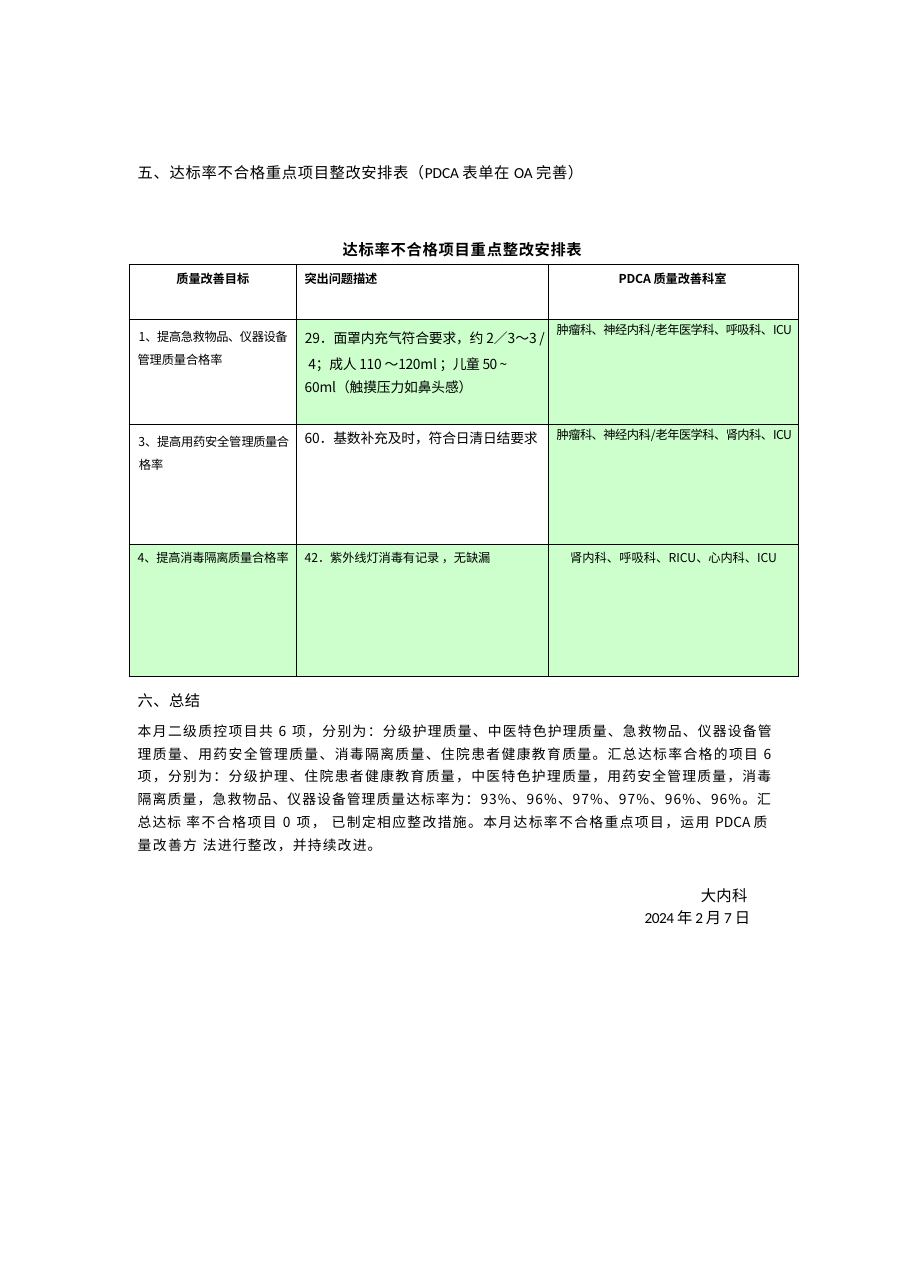
from dataclasses import dataclass

from lxml.etree import SubElement
from pptx import Presentation
from pptx.dml.color import RGBColor
from pptx.enum.text import MSO_ANCHOR, MSO_AUTO_SIZE, PP_ALIGN
from pptx.oxml import parse_xml
from pptx.oxml.ns import nsdecls, qn
from pptx.util import Pt

COLORS = {"ink": "000000", "highlight": "CCFFCC"}
CJK, LATIN = "Noto Sans CJK SC", "Calibri"


@dataclass
class Para:
    """Fragments are (text, letter spacing in points[, Latin font])."""
    fragments: list
    size: float = 8
    line: float = 11
    left: float = 5.6
    first: float = 0
    before: float = 0
    bold: bool = False


@dataclass
class Entry:
    paras: list
    top: float = 3
    highlight: bool = False


COLUMNS = [109.2, 164.8, 163.4]
ROWS = [36, 68.5, 78.5, 86.3]

PLAN = [
    # Column headings
    [Entry([Para([("质量改善目标", -0.1)], left=31, bold=True)], 4),
     Entry([Para([("突出问题描述", -0.1)], bold=True)], 4),
     Entry([Para([("PDCA 质量改善科", -0.1), ("室", -0.2)], left=46, bold=True)], 4)],
    # Emergency supplies
    [Entry([Para([("1、提高急救物品、仪器设备 ", -0.3), ("管理质量合格率", -0.1)],
                 line=15, first=0.7)], 2),
     Entry([Para([("29．面罩内充气符合要求，", -0.1),
                  ("约 2／3～3 / 4；成人 110 ～120m", -0.2), ("l ；儿童 50 ~", -0.3)],
                 size=9, line=17, left=8, first=-2.2),
            Para([("60ml（触摸压力如鼻头感）", -0.1)], size=9, line=15)], 1.4, True),
     Entry([Para([("肿瘤科、神经内科/老年医学科、呼吸科、ICU", -0.4)], line=10.4)], 2, True)],
    # Medication safety
    [Entry([Para([("3、提高用药安全管", -0.2), ("理质量合 ", -0.3), ("格率", -0.1)],
                 line=15, left=6.5, first=-0.3)], 2),
     Entry([Para([("60．基数补充及时，符合日清日结要求", -0.1)], size=9, line=12)]),
     Entry([Para([("肿瘤科、神经内科/老年医学科、肾内科、ICU", -0.4)], line=10.4)], 2, True)],
    # Disinfection and isolation
    [Entry([Para([("4、提高消毒隔离质量合格", -0.2), ("率", -0.3)])], 3, True),
     Entry([Para([("42．紫外线灯消毒有记录 ，无缺漏", -0.1)])], 3, True),
     Entry([Para([("肾内科、呼吸科、RI", 0), ("CU、心内科、ICU", -0.1)], left=14.4)], 3, True)],
]

HEADING = [Para([("五、达标率不合格重点项", 0.5), ("目整改安排表（", 0.4),
                 ("PDCA ", 0, LATIN), ("表单在 ", 0.4), ("OA ", 0, LATIN),
                 ("完善）", 0.4)], size=10, line=12, left=0.7)]

CAPTION = [Para([("达标率不合格项目重点整", 0.5), ("改安排表", 0.4)],
                size=10, line=12, left=0, bold=True)]

SUMMARY = [
    Para([("六、总结", 0.3)], size=10, line=12, left=0.7),
    Para([("本月二级质控项目共 6 项，分别为", 0.9),
          ("：分级护理质量、中医特色护理质量、急救物品、仪器设备管 ", 0.8),
          ("理质量、用药安全管理质量、消毒隔离质量、住院患者健康教育质量。"
           "汇总达标率合格的项目 6 项，分别为：分级护理、住院患者健康教育质量，"
           "中医特色护理质量", 0.9),
          ("，用药安全管理质量，消毒 隔离质量，急救物品", 0.8),
          ("、仪器设备管理质量达标率为：93%、96%、97%、97%、96%、96%。汇总达标 ", 0.7),
          ("率不合格项目 0 项， ", 1),
          ("已制定相应整改措施。本月达标率不合格重点项目，运用 ", 0.9),
          ("PDCA ", 0), ("质量改善方 ", 0.9), ("法进行整改，并持续改进。", 0.8)],
         size=9, line=14.9, left=0.7, before=4.3),
]

SIGNATURE = [
    Para([("大内科", 0.2)], size=10, line=13.9, left=36.8),
    Para([("2024 ", -0.3, LATIN), ("年 ", -0.3), ("2 ", -0.3, LATIN),
          ("月 ", -0.3), ("7 ", -0.3, LATIN), ("日", -0.3)],
         size=10, line=13.9, left=0),
]


def add_fragment(paragraph, para, text, spacing, latin=CJK):
    run = paragraph.add_run()
    run.text = text
    run.font.size = Pt(para.size)
    run.font.bold = para.bold
    run.font.color.rgb = RGBColor.from_string(COLORS["ink"])
    run.font.name = latin
    properties = run.font._element
    properties.set("spc", str(round(spacing * 100)))
    SubElement(properties, qn("a:ea")).set("typeface", CJK)


def write_paras(frame, paras):
    for index, para in enumerate(paras):
        paragraph = frame.add_paragraph() if index else frame.paragraphs[0]
        paragraph.alignment = PP_ALIGN.LEFT
        paragraph.line_spacing = Pt(para.line)
        paragraph.space_before = Pt(para.before)
        paragraph.space_after = Pt(0)
        properties = paragraph._p.get_or_add_pPr()
        properties.set("marL", str(Pt(para.left)))
        properties.set("indent", str(Pt(para.first)))
        SubElement(properties, qn("a:buNone"))
        for fragment in para.fragments:
            add_fragment(paragraph, para, *fragment)


def place_text(block, left, top, width, height, paras):
    block.left, block.top = Pt(left), Pt(top)
    block.width, block.height = Pt(width), Pt(height)
    frame = block.text_frame
    frame.word_wrap = True
    frame.auto_size = MSO_AUTO_SIZE.NONE
    frame.vertical_anchor = MSO_ANCHOR.TOP
    frame.margin_left = frame.margin_right = 0
    frame.margin_top = frame.margin_bottom = 0
    write_paras(frame, paras)


def add_text(slide, left, top, width, height, paras):
    block = slide.shapes.add_textbox(0, 0, 0, 0)
    place_text(block, left, top, width, height, paras)


def outline_cell(cell):
    properties = cell._tc.get_or_add_tcPr()
    for position, side in enumerate(("lnL", "lnR", "lnT", "lnB")):
        properties.insert(position, parse_xml(
            f'<a:{side} {nsdecls("a")} w="{Pt(0.5)}"><a:solidFill>'
            f'<a:srgbClr val="{COLORS["ink"]}"/></a:solidFill></a:{side}>'))


def fill_cell(cell, entry):
    cell.margin_left = cell.margin_right = cell.margin_bottom = 0
    cell.margin_top = Pt(entry.top)
    if entry.highlight:
        cell.fill.solid()
        cell.fill.fore_color.rgb = RGBColor.from_string(COLORS["highlight"])
    else:
        cell.fill.background()
    outline_cell(cell)
    write_paras(cell.text_frame, entry.paras)


def add_plan(slide, left, top):
    plan = slide.shapes.add_table(len(ROWS), len(COLUMNS), Pt(left), Pt(top),
                                  Pt(sum(COLUMNS)), Pt(sum(ROWS))).table
    plan.first_row = plan.horz_banding = False
    for column, width in zip(plan.columns, COLUMNS):
        column.width = Pt(width)
    for row, height, entries in zip(plan.rows, ROWS, PLAN):
        row.height = Pt(height)
        for cell, entry in zip(row.cells, entries):
            fill_cell(cell, entry)


def main():
    deck = Presentation()
    deck.slide_width, deck.slide_height = Pt(595.44), Pt(841.68)
    slide = deck.slides.add_slide(deck.slide_layouts[1])

    # Section five: heading, caption and plan
    place_text(slide.shapes.title, 89.3, 106.4, 296.6, 26, HEADING)
    add_text(slide, 224, 156.7, 175, 14, CAPTION)
    add_plan(slide, 84.3, 172.8)

    # Section six: summary and signature
    place_text(slide.placeholders[1], 89.3, 451.7, 417, 108, SUMMARY)
    add_text(slide, 421.4, 577.5, 78, 44, SIGNATURE)

    deck.save("out.pptx")


if __name__ == "__main__":
    main()
